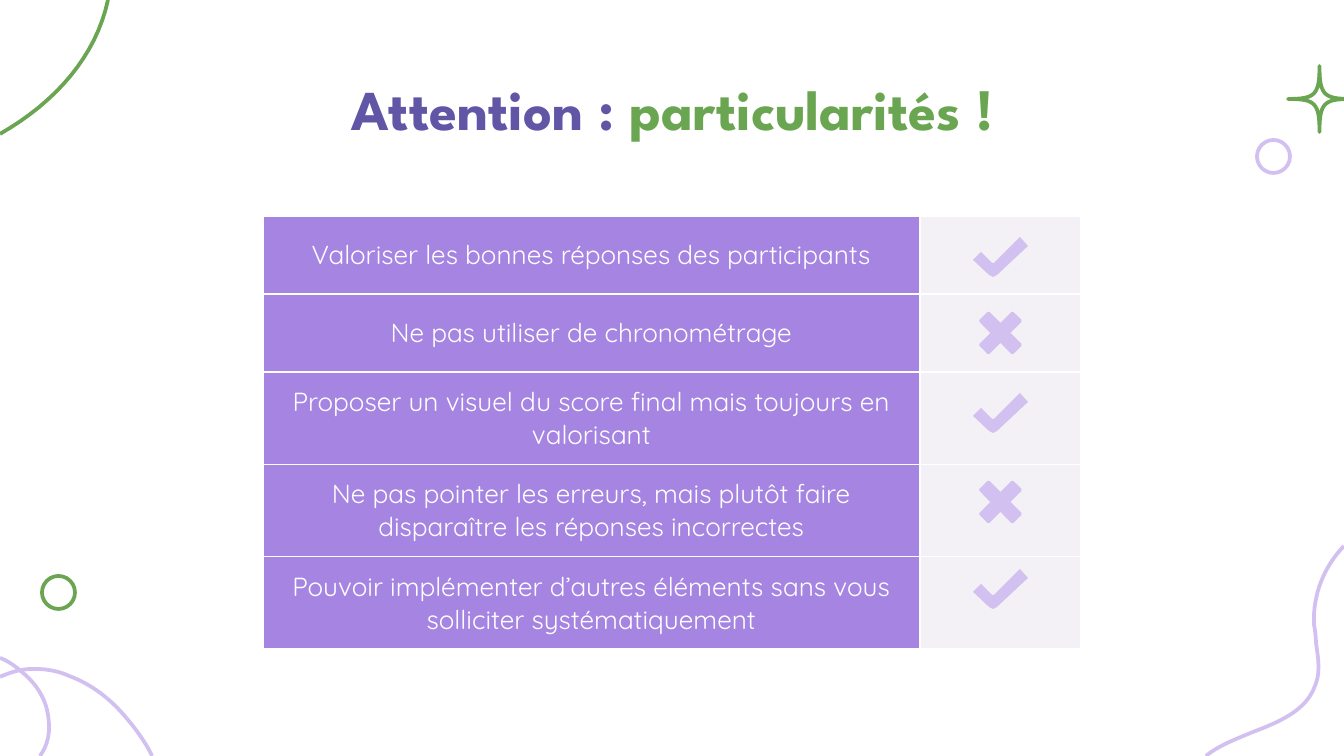
from lxml import etree
from pptx import Presentation
from pptx import util as u
from pptx.dml import color
from pptx.enum import shapes, text
from pptx.oxml import ns

PX = 914400 / 134.4
GREEN, LILAC, PURPLE = "6AA551", "D2C1F0", "A685E2"
WHITE, GREY, INDIGO = "FFFFFF", "F3F1F5", "6155A6"

# Each row: rule, accepted or not, row height, top of its icon within the table
RULES = [
    ("Valoriser les bonnes réponses des participants", True, 78, 21),
    ("Ne pas utiliser de chronométrage", False, 78, 96),
    ("Proposer un visuel du score final mais toujours en valorisant", True, 92, 177),
    ("Ne pas pointer les erreurs, mais plutôt faire disparaître les réponses incorrectes", False, 92, 265),
    ("Pouvoir implémenter d’autres éléments sans vous solliciter systématiquement", True, 92, 353),
]
CHECK = [(47, 0), (21, 26), (19, 26), (8, 15), (0, 23), (16, 38), (20, 40), (24, 38), (55, 9)]
CROSS_QUARTER = [(10, 0), (8, 0), (0, 8), (0, 10), (11, 21)]


def px(*lengths):
    return [u.Emu(round(length * PX)) for length in lengths]


def rgb(value):
    return color.RGBColor.from_string(value)


def paint(shape, fill=None, line=None, width=2):
    shape.shadow.inherit = False
    if fill:
        shape.fill.solid()
        shape.fill.fore_color.rgb = rgb(fill)
    else:
        shape.fill.background()
    if line:
        shape.line.color.rgb = rgb(line)
        shape.line.width = u.Pt(width)
    else:
        shape.line.fill.background()


def write(frame, runs, font, size, bold=False, align=text.PP_ALIGN.CENTER):
    """Fill a text frame with one paragraph of (text, colour) runs."""
    frame.word_wrap = True
    paragraph = frame.paragraphs[0]
    paragraph.alignment = align
    for words, tint in runs:
        run = paragraph.add_run()
        run.text = words
        run.font.name, run.font.size, run.font.bold = font, u.Pt(size), bold
        run.font.color.rgb = rgb(tint)


def outline(slide, points, close=False, **look):
    start, *rest = [px(*point) for point in points]
    builder = slide.shapes.build_freeform(*start)
    builder.add_line_segments(rest, close=close)
    paint(builder.convert_to_shape(), **look)


def curve(slide, left, top, start, *cubics, tint, close=False):
    """Stroke a chain of cubic curves, each given as two controls and an end."""
    points, steps = [start], 16
    for c1, c2, end in cubics:
        origin = points[-1]
        for step in range(1, steps + 1):
            t = step / steps
            weights = (1 - t) ** 3, 3 * t * (1 - t) ** 2, 3 * t * t * (1 - t), t ** 3
            points.append(tuple(sum(w * p[axis] for w, p in zip(weights, (origin, c1, c2, end)))
                                for axis in (0, 1)))
    outline(slide, [(left + x, top + y) for x, y in points], close=close, line=tint)


def ring(slide, left, top, size, tint):
    circle = slide.shapes.add_shape(shapes.MSO_SHAPE.OVAL, *px(left, top, size, size))
    paint(circle, line=tint)


def star(slide, left, top, width, height):
    mid_x, mid_y = width / 2, height / 2
    tips = [(mid_x, 0), (0, mid_y), (mid_x, height), (width, mid_y)]

    def pull(tip):
        return tuple(c + (t - c) * 0.13 for t, c in zip(tip, (mid_x, mid_y)))

    arcs = [(pull(a), pull(b), b) for a, b in zip(tips, tips[1:] + tips[:1])]
    curve(slide, left, top, tips[0], *arcs, tint=GREEN, close=True)


def decorations(slide, width, height):
    # Top corners
    curve(slide, 0, 0, (108, 0), ((96, 56), (56, 102), (0, 134)), tint=GREEN)
    star(slide, width - 56, 66, 63, 66)
    ring(slide, width - 87, 140, 33, LILAC)
    # Bottom left corner
    ring(slide, 42, height - 180, 33, GREEN)
    base = height - 100
    curve(slide, 0, base, (0, 2), ((8, 5), (15, 10), (23, 17)),
          ((41, 32), (50, 51), (49, 75)), ((48, 86), (45, 93), (40, 100)), tint=LILAC)
    curve(slide, 0, base, (0, 21), ((11, 16), (22, 13), (34, 13)),
          ((46, 13), (58, 15), (69, 20)), ((91, 28), (111, 43), (128, 64)),
          ((138, 76), (147, 89), (152, 100)), tint=LILAC)
    # Bottom right corner
    curve(slide, width - 144, height - 216, (144, 6), ((124, 27), (113, 54), (114, 84)),
          ((115, 90), (116, 96), (116, 102)), ((118, 117), (121, 132), (115, 146)),
          ((106, 171), (79, 182), (53, 192)), ((36, 199), (18, 206), (6, 216)), tint=LILAC)


def heading(slide, left, top, width, height):
    title = slide.shapes.title
    title.left, title.top, title.width, title.height = px(left, top, width, height)
    frame = title.text_frame
    frame.auto_size = text.MSO_AUTO_SIZE.NONE
    frame.vertical_anchor = text.MSO_ANCHOR.MIDDLE
    write(frame, [("Attention : ", INDIGO), ("particularités !", GREEN)],
          font="League Spartan", size=30.2, bold=True)


def style_cell(cell, fill):
    cell.fill.solid()
    cell.fill.fore_color.rgb = rgb(fill)
    cell.vertical_anchor = text.MSO_ANCHOR.MIDDLE
    cell.margin_left = cell.margin_right = cell.margin_top = cell.margin_bottom = u.Inches(0.1)
    properties = cell._tc.get_or_add_tcPr()
    for position, side in enumerate(("a:lnL", "a:lnR", "a:lnT", "a:lnB")):
        border = etree.Element(ns.qn(side), w=str(u.Pt(0.75)))
        solid = etree.SubElement(border, ns.qn("a:solidFill"))
        etree.SubElement(solid, ns.qn("a:srgbClr"), val=WHITE)
        properties.insert(position, border)


def cross_points():
    points, quarter = [], CROSS_QUARTER
    for _ in range(4):
        points += quarter
        quarter = [(y, 42 - x) for x, y in quarter]
    return points


def rules_table(slide, left, top, width, height, mark_width):
    frame = slide.shapes.add_table(len(RULES), 2, *px(left, top, width, height))
    table = frame.table
    table.first_row = table.horz_banding = False
    table.columns[0].width, table.columns[1].width = px(width - mark_width, mark_width)
    mark_middle = left + width - mark_width / 2

    for row, (rule, accepted, row_height, icon_top) in enumerate(RULES):
        table.rows[row].height = px(row_height)[0]
        rule_cell, mark_cell = table.cell(row, 0), table.cell(row, 1)
        style_cell(rule_cell, PURPLE)
        style_cell(mark_cell, GREY)
        write(rule_cell.text_frame, [(rule, WHITE)], font="Quicksand", size=14)
        # Check or cross mark, centred in the right column
        icon = CHECK if accepted else cross_points()
        icon_left = mark_middle - max(x for x, _ in icon) / 2
        outline(slide, [(icon_left + x, top + icon_top + y) for x, y in icon],
                close=True, fill=LILAC)


def main():
    deck = Presentation()
    deck.slide_width, deck.slide_height = px(1344, 756)
    slide = deck.slides.add_slide(deck.slide_layouts[5])
    decorations(slide, 1344, 756)
    heading(slide, 108, 67, 1129, 81)
    rules_table(slide, 263, 216, 818, 432, mark_width=161)
    deck.save("out.pptx")


if __name__ == "__main__":
    main()
